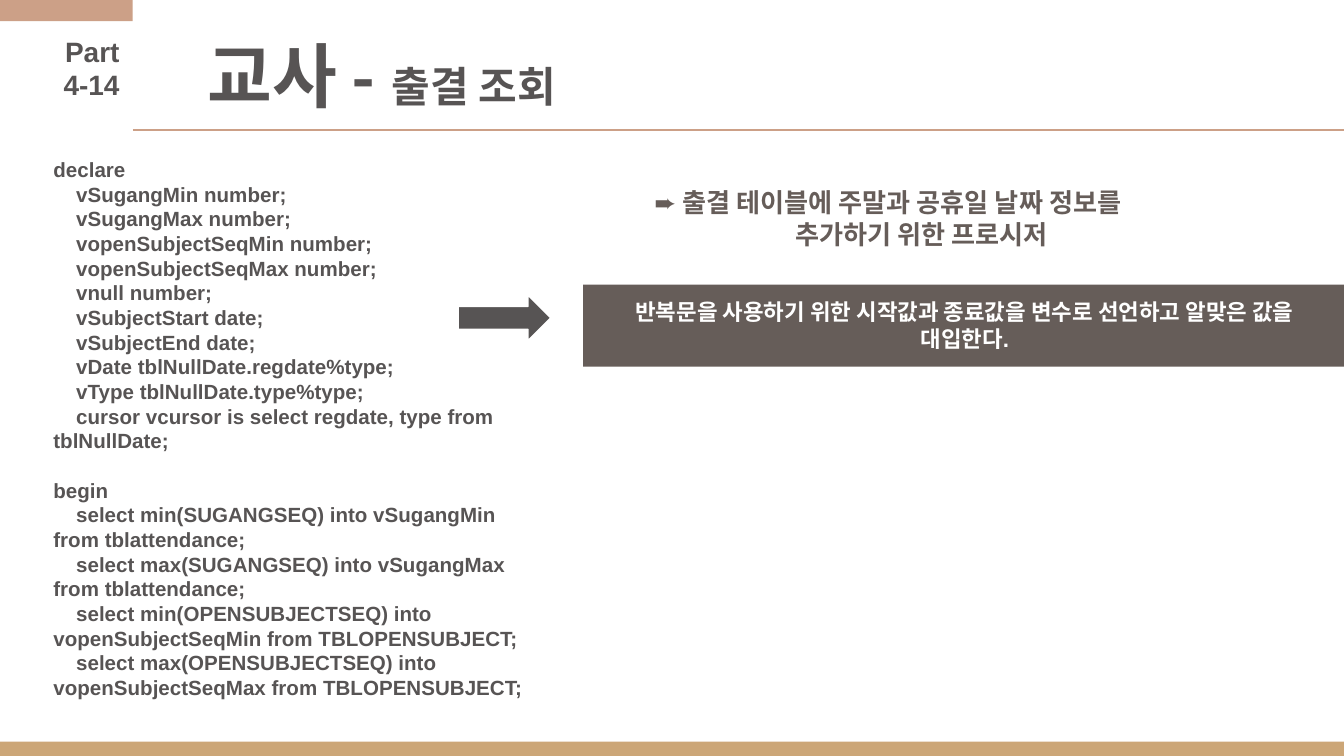
import pptx
import pptx.dml.color
import pptx.enum.shapes
import pptx.enum.text
import pptx.oxml
import pptx.oxml.ns
import pptx.util

Cm = pptx.util.Cm
Pt = pptx.util.Pt
SHAPES = pptx.enum.shapes.MSO_SHAPE
ALIGN = pptx.enum.text.PP_ALIGN

SLIDE_WIDTH, SLIDE_HEIGHT = 25.4, 14.29
GREY, BROWN, WHITE = "575454", "665D59", "FFFFFF"
PINK, SAND = "CCA087", "CCA677"

DECLARATIONS = """declare
    vSugangMin number;
    vSugangMax number;
    vopenSubjectSeqMin number;
    vopenSubjectSeqMax number;
    vnull number;
    vSubjectStart date;
    vSubjectEnd date;
    vDate tblNullDate.regdate%type;
    vType tblNullDate.type%type;
    cursor vcursor is select regdate, type from tblNullDate;"""

BODY = """begin
    select min(SUGANGSEQ) into vSugangMin from tblattendance;
    select max(SUGANGSEQ) into vSugangMax from tblattendance;
    select min(OPENSUBJECTSEQ) into vopenSubjectSeqMin from TBLOPENSUBJECT;
    select max(OPENSUBJECTSEQ) into vopenSubjectSeqMax from TBLOPENSUBJECT;"""


def color(value):
    return pptx.dml.color.RGBColor.from_string(value)


def add_block(slide, kind, box, fill, line=None):
    shape = slide.shapes.add_shape(kind, *map(Cm, box))
    shape.shadow.inherit = False
    shape.fill.solid()
    shape.fill.fore_color.rgb = color(fill)
    if line:
        shape.line.color.rgb = color(line)
        shape.line.width = Pt(0.75)
    else:
        shape.line.fill.background()
    return shape


def format_frame(shape, **changes):
    frame = shape.text_frame
    values = {
        "word_wrap": True,
        "vertical_anchor": pptx.enum.text.MSO_ANCHOR.TOP,
        "auto_size": pptx.enum.text.MSO_AUTO_SIZE.SHAPE_TO_FIT_TEXT,
    }
    for side in ("left", "top", "right", "bottom"):
        values[f"margin_{side}"] = Cm(0.25)
    for name, value in (values | changes).items():
        setattr(frame, name, value)
    return frame


def add_text_box(slide, box, **changes):
    return format_frame(slide.shapes.add_textbox(*map(Cm, box)), **changes)


def add_run(paragraph, text, size, fill, font="Arial"):
    run = paragraph.add_run()
    run.text = text
    values = {"name": font, "size": Pt(size), "bold": True}
    for name, value in values.items():
        setattr(run.font, name, value)
    run.font.color.rgb = color(fill)


def add_header(slide, left, top, width, height):
    """Corner tab, part number, title and the rule below them."""
    tab_width, tab_height = 2.51, 0.4
    add_block(slide, SHAPES.RECTANGLE, (left, top, tab_width, tab_height), PINK)

    part = add_text_box(slide, (left + 0.58, top + tab_height, tab_width - 0.58, 1.8))
    part.paragraphs[0].alignment = ALIGN.RIGHT
    add_run(part.paragraphs[0], "Part 4-14", 15, GREY)

    bottom = Cm(top + height)
    rule = slide.shapes.add_connector(
        pptx.enum.shapes.MSO_CONNECTOR.STRAIGHT,
        Cm(left + tab_width), bottom, Cm(left + width), bottom)
    rule.line.color.rgb = color(PINK)
    rule.line.width = Pt(0.75)
    properties = rule.line._get_or_add_ln().getparent()
    properties.append(pptx.oxml.parse_xml(
        f"<a:effectLst {pptx.oxml.ns.nsdecls('a')}/>"))

    title = add_text_box(
        slide, (left + 3.18, top + 0.97, width - 3.18, height - 0.97),
        margin_left=Cm(0.74),
        vertical_anchor=pptx.enum.text.MSO_ANCHOR.BOTTOM,
        auto_size=pptx.enum.text.MSO_AUTO_SIZE.NONE)
    for text, size in (("교사", 37.7), (" - ", 33.8), ("출결 조회", 22.5)):
        add_run(title.paragraphs[0], text, size, GREY, "Roboto")


def add_code(slide, *box):
    frame = add_text_box(slide, box)
    paragraph = frame.paragraphs[0]
    for section in (DECLARATIONS, BODY):
        for number, line in enumerate(section.splitlines()):
            if line != "declare":
                paragraph = frame.add_paragraph()
            if section == BODY and number == 0:
                paragraph.space_before = Pt(13.2)
            add_run(paragraph, line, 11, GREY)


def add_explanation(slide, left, top, width, height):
    """Purpose of the procedure, and a banner with an arrow leading to it."""
    purpose = add_text_box(slide, (left, top, 11.53, 1.7))
    first, second = purpose.paragraphs[0], purpose.add_paragraph()
    first.alignment = second.alignment = ALIGN.CENTER
    add_run(first, "➨ ", 14, BROWN, "Open Sans")
    add_run(first, "출결 테이블에 주말과 공휴일 날짜 정보를", 14, BROWN)
    second._p.get_or_add_pPr().set("indent", str(Cm(1.27)))
    add_run(second, "추가하기 위한 프로시저", 14, BROWN)

    banner_height = 1.55
    banner_top = top + height - banner_height
    banner = add_block(slide, SHAPES.RECTANGLE,
                       (left, banner_top, width, banner_height), BROWN)
    paragraph = format_frame(banner).paragraphs[0]
    paragraph.alignment = ALIGN.CENTER
    add_run(paragraph, "반복문을 사용하기 위한 시작값과 종료값을 변수로 선언하고 "
            "알맞은 값을 대입한다.", 12, WHITE)

    add_block(slide, SHAPES.RIGHT_ARROW,
              (left - 2.36, banner_top + 0.2, 1.75, 0.86), GREY, WHITE)


def main():
    presentation = pptx.Presentation()
    presentation.slide_width = Cm(SLIDE_WIDTH)
    presentation.slide_height = Cm(SLIDE_HEIGHT)
    slide = presentation.slides.add_slide(presentation.slide_layouts[6])

    add_block(slide, SHAPES.RECTANGLE,
              (0, SLIDE_HEIGHT - 0.27, SLIDE_WIDTH, 0.27), SAND)
    add_code(slide, 0.76, 2.72, 9.45, 11.02)
    add_explanation(slide, 11.02, 3.28, 14.43, 3.65)
    add_header(slide, 0, 0, SLIDE_WIDTH, 2.46)
    presentation.save("out.pptx")


if __name__ == "__main__":
    main()
